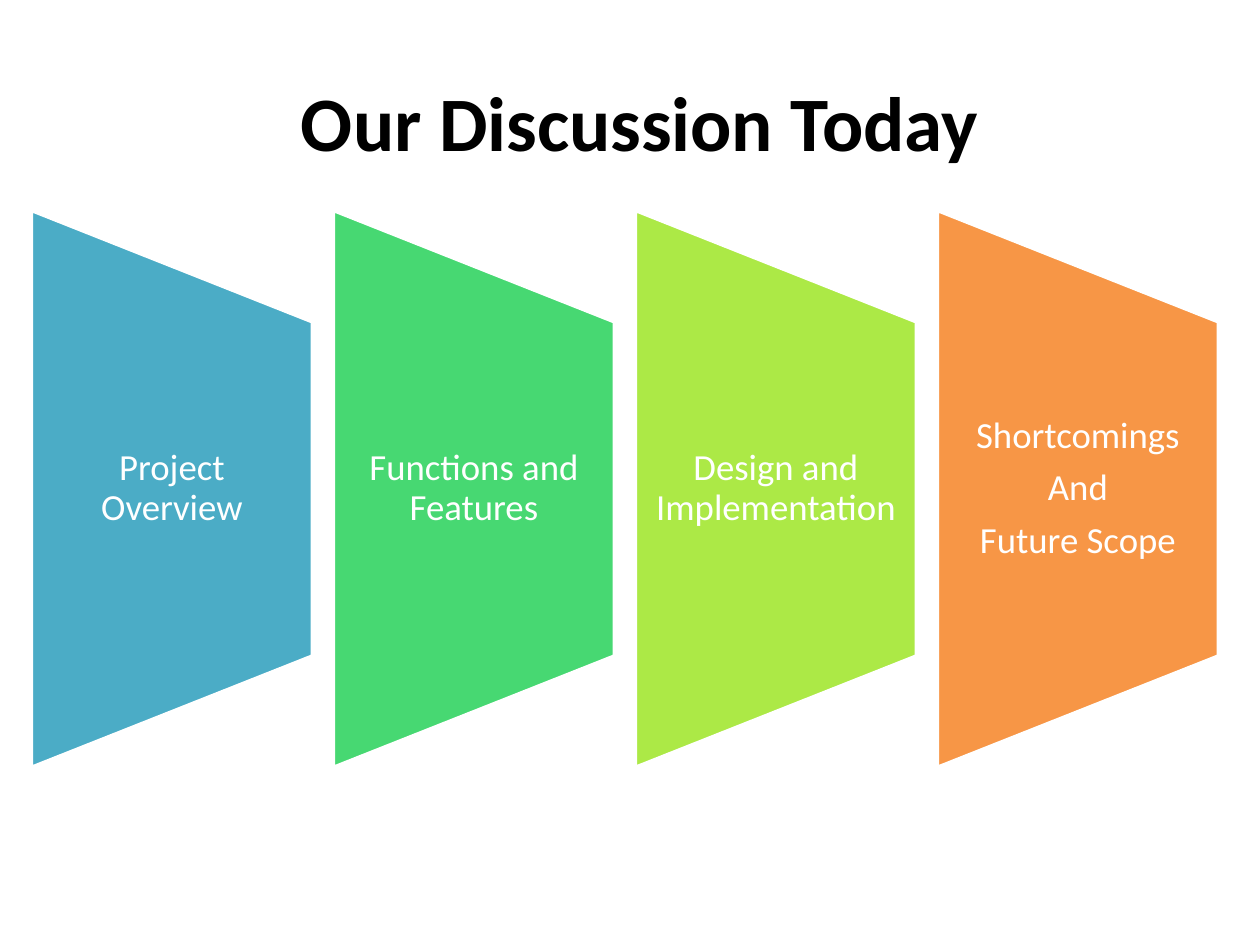
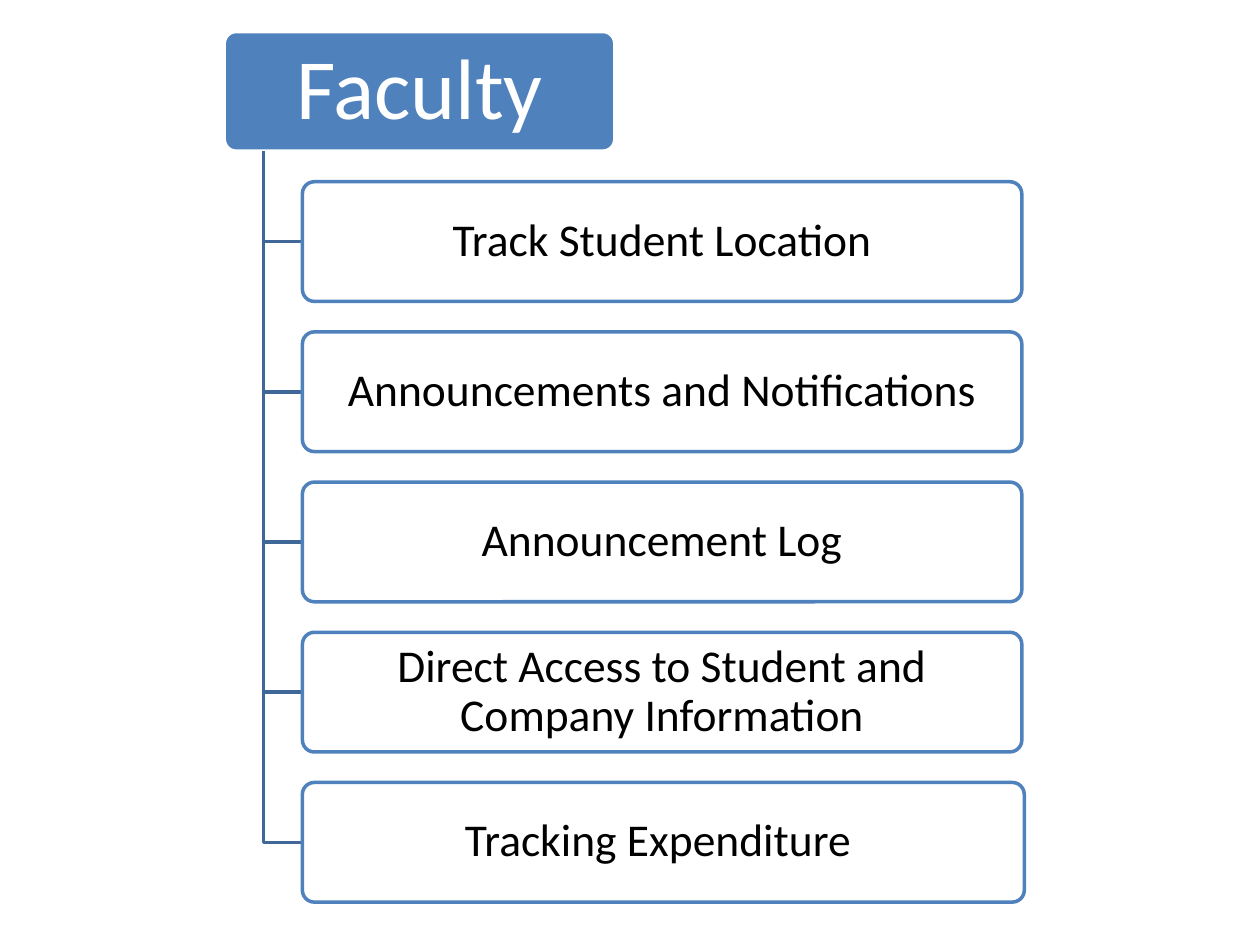
from lxml.etree import SubElement
from pptx import Presentation
from pptx.dml.color import RGBColor
from pptx.enum.shapes import MSO_SHAPE as Preset
from pptx.enum.text import MSO_ANCHOR as Anchor, PP_ALIGN as Align
from pptx.oxml.ns import qn
from pptx.util import Inches, Pt

FONT = "Calibri"
WHITE, BLACK = "FFFFFF", "000000"
BLUE, DARK_BLUE = "4F81BD", "3F6797"
TITLE_LAYOUT, BLANK_LAYOUT = 5, 6

TOPICS = [
    (["Project Overview"], "4BACC6"),
    (["Functions and Features"], "47D872"),
    (["Design and Implementation"], "ACE946"),
    (["Shortcomings", "And", "Future Scope"], "F79646"),
]
FACULTY_FEATURES = [
    "Track Student Location",
    "Announcements and Notifications",
    "Announcement Log",
    "Direct Access to Student and Company Information",
    "Tracking Expenditure ",
]


def color(hex_code):
    return RGBColor.from_string(hex_code)


def write(shape, lines, size, hex_code, bold=False, spacing=None, insets=None):
    """Fill a shape with centred paragraphs; insets are (horizontal, vertical)."""
    frame = shape.text_frame
    frame.word_wrap = True
    frame.vertical_anchor = Anchor.MIDDLE
    if insets:
        frame.margin_left = frame.margin_right = Inches(insets[0])
        frame.margin_top = frame.margin_bottom = Inches(insets[1])
    frame.text = "\n".join(lines)
    for paragraph in frame.paragraphs:
        paragraph.alignment = Align.CENTER
        if spacing:
            paragraph.line_spacing = spacing
            paragraph.space_after = Pt(size * 0.35)
        font = paragraph.font
        font.name, font.size, font.bold = FONT, Pt(size), bold
        font.color.rgb = color(hex_code)


def paint(shape, fill, line, opacity=None):
    shape.shadow.inherit = False
    if fill:
        shape.fill.solid()
        shape.fill.fore_color.rgb = color(fill)
    else:
        shape.fill.background()
    if opacity:
        fill_color = shape._element.spPr.find(qn("a:solidFill"))[0]
        SubElement(fill_color, qn("a:alpha"), val=str(opacity * 1000))
    shape.line.color.rgb = color(line)
    shape.line.width = Pt(2)


def add_topic(slide, lines, fill, left, top, width, height):
    # A trapezoid turned on its side, around the centre of its box
    inset = (height - width) / 2
    panel = slide.shapes.add_shape(
        Preset.FLOWCHART_MANUAL_OPERATION, Inches(left - inset),
        Inches(top + inset), Inches(height), Inches(width))
    panel.rotation = 270
    paint(panel, fill, WHITE)
    # Upright label over the middle of the panel
    label = slide.shapes.add_textbox(
        Inches(left), Inches(top + height * 0.2), Inches(width), Inches(height * 0.6))
    write(label, lines, 21, WHITE, spacing=0.9, insets=(0.15, 0))


def add_topic_row(slide, left, top, width, height):
    panel_width = 2.23
    pitch = (width - panel_width) / (len(TOPICS) - 1)
    for index, (lines, fill) in enumerate(TOPICS):
        add_topic(slide, lines, fill, left + index * pitch, top, panel_width, height)


def add_card(slide, text, left, top, width, height, size, fill, line, text_color,
             insets, opacity=None):
    card = slide.shapes.add_shape(
        Preset.ROUNDED_RECTANGLE, Inches(left), Inches(top), Inches(width), Inches(height))
    card.adjustments[0] = 0.1
    paint(card, fill, line, opacity)
    write(card, [text], size, text_color, spacing=0.9, insets=insets)


def add_branch(slide, left, top, right, bottom):
    builder = slide.shapes.build_freeform(Inches(left), Inches(top))
    builder.add_line_segments(
        [(Inches(left), Inches(bottom)), (Inches(right), Inches(bottom))], close=False)
    paint(builder.convert_to_shape(), None, DARK_BLUE)


def add_feature_tree(slide, heading, features, left, top, width, height):
    card_height, head_width, indent = 0.95, 3.1, 0.62
    pitch = (height - card_height) / len(features)
    add_card(slide, heading, left, top, head_width, card_height, 49,
             BLUE, WHITE, WHITE, (0.1, 0.07))
    for row, feature in enumerate(features, start=1):
        card_top = top + row * pitch
        add_branch(slide, left + indent / 2, top + card_height,
                   left + indent, card_top + card_height / 2)
        # The last card is slightly wider
        card_width = width - indent + (0.02 if row == len(features) else 0)
        add_card(slide, feature, left + indent, card_top, card_width, card_height, 26,
                 WHITE, BLUE, BLACK, (0.05, 0.04), opacity=90)


def build_agenda_slide(deck):
    slide = deck.slides.add_slide(deck.slide_layouts[TITLE_LAYOUT])
    title = slide.shapes.title
    title.left, title.top = Inches(0.58), Inches(0.33)
    title.width, title.height = Inches(9), Inches(1.25)
    write(title, ["Our Discussion Today"], 44, BLACK, bold=True)
    add_topic_row(slide, 0.25, 1.67, 9.42, 4.42)


def build_faculty_slide(deck):
    slide = deck.slides.add_slide(deck.slide_layouts[BLANK_LAYOUT])
    add_feature_tree(slide, "Faculty", FACULTY_FEATURES, 1.78, 0.25, 6.33, 6.91)


def main():
    deck = Presentation()
    deck.slide_width, deck.slide_height = Inches(10), Inches(7.5)
    build_agenda_slide(deck)
    build_faculty_slide(deck)
    deck.save("out.pptx")


if __name__ == "__main__":
    main()
